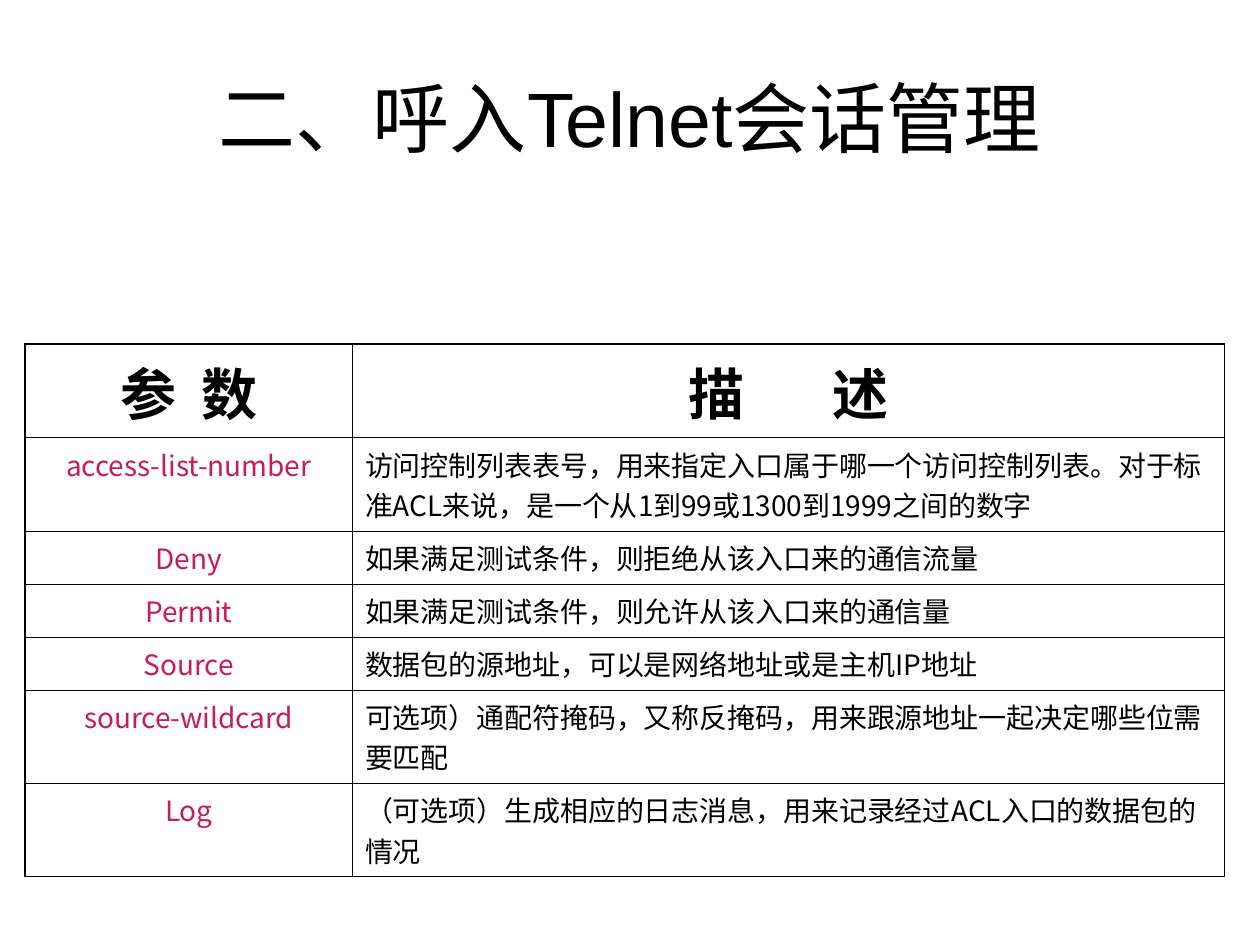
from lxml import etree
from pptx import Presentation
from pptx.dml.color import RGBColor
from pptx.enum.text import MSO_ANCHOR, PP_ALIGN
from pptx.oxml.ns import qn
from pptx.util import Pt

CENTER, LEFT = PP_ALIGN.CENTER, PP_ALIGN.LEFT
TOP, MIDDLE = MSO_ANCHOR.TOP, MSO_ANCHOR.MIDDLE
BLACK = RGBColor(0x00, 0x00, 0x00)
CRIMSON = RGBColor(0xC9, 0x1B, 0x59)
CJK_FONT = "Noto Sans CJK SC"
TITLE_FONT = "Arial"

# Content
TITLE = "二、呼入Telnet会话管理"
# Each heading: first character, second character, extra gap between them in points
HEADINGS = [("参", "数", 7.2), ("描", "述", 43.2)]
PARAMETERS = [
    ("access-list-number", "访问控制列表表号，用来指定入口属于哪一个访问控制列表。"
     "对于标准ACL来说，是一个从1到99或1300到1999之间的数字"),
    ("Deny", "如果满足测试条件，则拒绝从该入口来的通信流量"),
    ("Permit", "如果满足测试条件，则允许从该入口来的通信量"),
    ("Source", "数据包的源地址，可以是网络地址或是主机IP地址"),
    ("source-wildcard", "可选项）通配符掩码，又称反掩码，用来跟源地址一起决定哪些位需要匹配"),
    ("Log", "（可选项）生成相应的日志消息，用来记录经过ACL入口的数据包的情况"),
]

# Layout in points
TABLE_LEFT, TABLE_TOP = 14.4, 196.4
COLUMN_WIDTHS = [187, 498.4]
ROW_HEIGHTS = [47.5, 47.5, 26.6, 26.6, 26.6, 46.8, 46.1]
OUTER_LINE, INNER_LINE = 1.08, 0.45


def add_span(para, text, size, color, font=CJK_FONT, bold=False, gap=0):
    span = para.add_run()
    span.text = text
    span.font.size = Pt(size)
    span.font.bold = bold
    span.font.color.rgb = color
    span.font.name = font
    properties = span.font._element
    etree.SubElement(properties, qn("a:ea"), typeface=CJK_FONT)
    if gap:
        properties.set("spc", str(round(gap * 100)))


def set_borders(cell, row, column):
    edges = {
        "a:lnL": column == 0,
        "a:lnR": column == len(COLUMN_WIDTHS) - 1,
        "a:lnT": row == 0,
        "a:lnB": row == len(ROW_HEIGHTS) - 1,
    }
    properties = cell._tc.get_or_add_tcPr()
    for tag, is_outer in edges.items():
        width = Pt(OUTER_LINE if is_outer else INNER_LINE)
        line = etree.SubElement(properties, qn(tag), w=str(int(width)))
        fill = etree.SubElement(line, qn("a:solidFill"))
        etree.SubElement(fill, qn("a:srgbClr"), val=str(BLACK))


def main():
    deck = Presentation()
    deck.slide_width, deck.slide_height = Pt(720), Pt(540)
    page = deck.slides.add_slide(deck.slide_layouts[5])

    # Title
    title = page.shapes.title
    title.left, title.top, title.width, title.height = Pt(36), Pt(21.6), Pt(648), Pt(90)
    title.text_frame.vertical_anchor = MIDDLE
    title_para = title.text_frame.paragraphs[0]
    title_para.alignment = CENTER
    add_span(title_para, TITLE, 44, BLACK, font=TITLE_FONT)

    # Table grid
    table = page.shapes.add_table(
        len(ROW_HEIGHTS), len(COLUMN_WIDTHS), Pt(TABLE_LEFT), Pt(TABLE_TOP),
        Pt(sum(COLUMN_WIDTHS)), Pt(sum(ROW_HEIGHTS))).table
    table.first_row = table.horz_banding = False
    for column, width in zip(table.columns, COLUMN_WIDTHS):
        column.width = Pt(width)
    for row, height in zip(table.rows, ROW_HEIGHTS):
        row.height = Pt(height)

    # Cells
    for row, values in enumerate([HEADINGS, *PARAMETERS]):
        for column, value in enumerate(values):
            cell = table.cell(row, column)
            set_borders(cell, row, column)
            cell.fill.background()
            cell.vertical_anchor = TOP
            para = cell.text_frame.paragraphs[0]
            para.alignment = CENTER if row == 0 or column == 0 else LEFT
            if row == 0:
                first, second, gap = value
                add_span(para, first, 32, BLACK, bold=True)
                add_span(para, " ", 32, BLACK, bold=True, gap=gap)
                add_span(para, second, 32, BLACK, bold=True)
            else:
                add_span(para, value, 16, CRIMSON if column == 0 else BLACK)

    deck.save("out.pptx")


if __name__ == "__main__":
    main()
